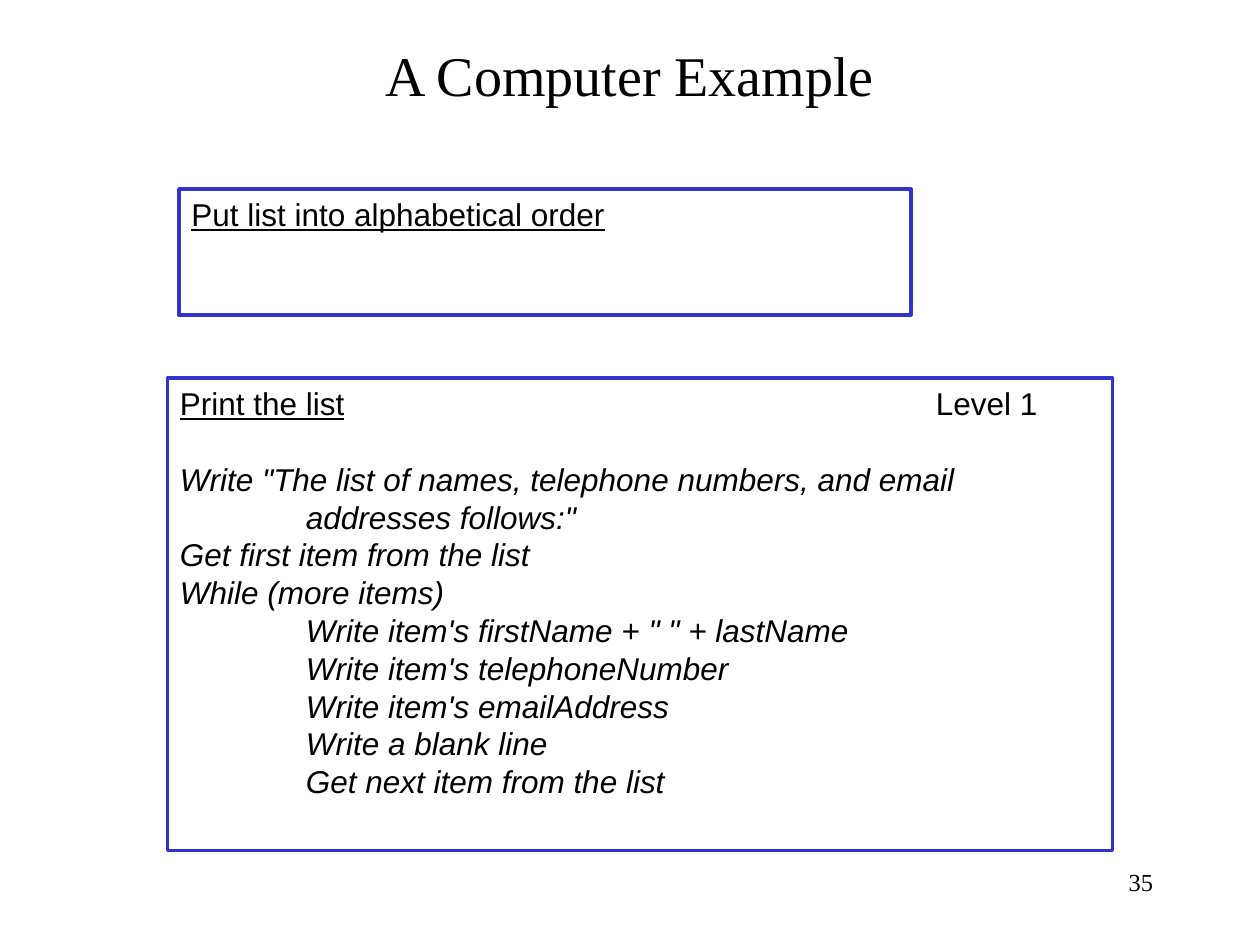
from dataclasses import dataclass

from lxml import etree
from pptx import Presentation
from pptx.dml.color import RGBColor
from pptx.enum import shapes, text
from pptx.oxml import ns
from pptx.util import Inches, Pt


@dataclass(frozen=True)
class Theme:
    ink: RGBColor = RGBColor(0x00, 0x00, 0x00)
    border: RGBColor = RGBColor(0x33, 0x33, 0xCC)
    serif: str = "Times New Roman"
    sans: str = "Arial"
    title_size: float = 32
    body_size: float = 18
    number_size: float = 14
    line_pitch: float = 21.6
    border_width: float = 2


@dataclass(frozen=True)
class Area:
    left: float
    top: float
    width: float
    height: float

    def lengths(self) -> tuple:
        return tuple(Inches(n) for n in (self.left, self.top, self.width, self.height))


@dataclass(frozen=True)
class Step:
    words: str
    depth: int = 0


@dataclass(frozen=True)
class Module:
    area: Area
    heading: str
    level: str = ""
    steps: tuple[Step, ...] = ()


THEME = Theme()
INDENT = Inches(1)
LEVEL_TAB = Inches(6)
TITLE_AREA = Area(0.75, 0.25, 8.5, 0.67)
NUMBER_AREA = Area(7.17, 6.83, 2.08, 0.5)
MODULES = (
    Module(Area(1.42, 1.5, 5.81, 1), "Put list into alphabetical order"),
    Module(
        Area(1.33, 3, 7.5, 3.75),
        "Print the list",
        "Level 1",
        (
            Step('Write "The list of names, telephone numbers, and email'),
            Step('addresses follows:"', 1),
            Step("Get first item from the list"),
            Step("While (more items)"),
            Step('Write item\'s firstName + " " + lastName', 1),
            Step("Write item's telephoneNumber", 1),
            Step("Write item's emailAddress", 1),
            Step("Write a blank line", 1),
            Step("Get next item from the list", 1),
        ),
    ),
)


def style(paragraph, face: str, size: float, align) -> None:
    paragraph.alignment = align
    paragraph.font.name = face
    paragraph.font.size = Pt(size)
    paragraph.font.color.rgb = THEME.ink


def style_body(paragraph) -> None:
    style(paragraph, THEME.sans, THEME.body_size, text.PP_ALIGN.LEFT)
    paragraph.line_spacing = Pt(THEME.line_pitch)


def add_tab_stop(paragraph, position: int) -> None:
    properties = paragraph._p.get_or_add_pPr()
    tabs = etree.Element(ns.qn("a:tabLst"))
    etree.SubElement(tabs, ns.qn("a:tab"), pos=str(position), algn="l")
    properties.find(ns.qn("a:defRPr")).addprevious(tabs)


def add_module(slide, module: Module) -> None:
    shape = slide.shapes.add_shape(shapes.MSO_SHAPE.RECTANGLE, *module.area.lengths())
    shape.shadow.inherit = False
    shape.fill.background()
    shape.line.color.rgb = THEME.border
    shape.line.width = Pt(THEME.border_width)
    frame = shape.text_frame
    frame.word_wrap = True
    frame.vertical_anchor = text.MSO_ANCHOR.TOP

    heading = frame.paragraphs[0]
    style_body(heading)
    run = heading.add_run()
    run.text = module.heading
    run.font.underline = True
    if module.level:
        add_tab_stop(heading, LEVEL_TAB)
        heading.add_run().text = "\t" + module.level

    for index, step in enumerate(module.steps):
        paragraph = frame.add_paragraph()
        paragraph.text = step.words
        style_body(paragraph)
        paragraph.font.italic = True
        paragraph._p.get_or_add_pPr().set("marL", str(step.depth * INDENT))
        if index == 0:
            paragraph.space_before = Pt(THEME.line_pitch)


def add_title(slide, words: str) -> None:
    title = slide.shapes.title
    title.left, title.top, title.width, title.height = TITLE_AREA.lengths()
    frame = title.text_frame
    frame.text = words
    frame.vertical_anchor = text.MSO_ANCHOR.MIDDLE
    style(frame.paragraphs[0], THEME.serif, THEME.title_size, text.PP_ALIGN.CENTER)


def add_number(slide, words: str) -> None:
    frame = slide.shapes.add_textbox(*NUMBER_AREA.lengths()).text_frame
    frame.word_wrap = True
    frame.text = words
    style(frame.paragraphs[0], THEME.serif, THEME.number_size, text.PP_ALIGN.RIGHT)


def main() -> None:
    presentation = Presentation()
    presentation.slide_width = Inches(10)
    presentation.slide_height = Inches(7.5)
    slide = presentation.slides.add_slide(presentation.slide_layouts.get_by_name("Title Only"))
    add_number(slide, "35")
    add_title(slide, "A Computer Example")
    for module in MODULES:
        add_module(slide, module)
    presentation.save("out.pptx")


if __name__ == "__main__":
    main()
